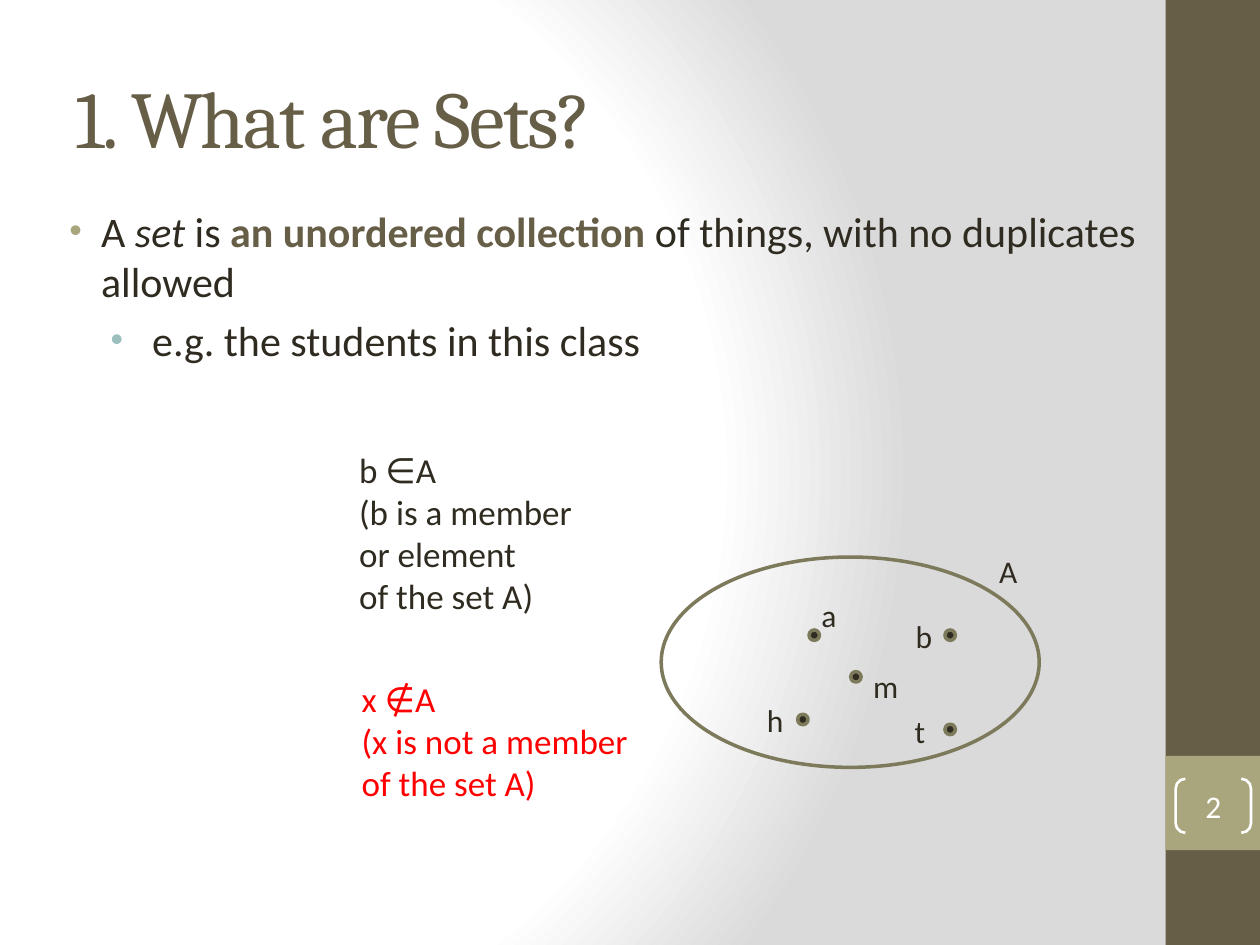
from typing import NamedTuple, Optional

from pptx import Presentation
from pptx.dml.color import RGBColor
from pptx.enum.shapes import MSO_SHAPE
from pptx.enum.text import MSO_ANCHOR, PP_ALIGN
from pptx.oxml import parse_xml
from pptx.oxml.ns import nsdecls, qn
from pptx.util import Cm, Pt

OLIVE = RGBColor(0x67, 0x5E, 0x47)
SAGE = RGBColor(0xA9, 0xA5, 0x7C)
OUTLINE = RGBColor(0x7D, 0x7A, 0x5C)
TEAL = RGBColor(0x9C, 0xBE, 0xBD)
INK = RGBColor(0x2F, 0x2B, 0x20)
RED = RGBColor(0xFF, 0x00, 0x00)
WHITE = RGBColor(0xFF, 0xFF, 0xFF)
GREY = RGBColor(0xDA, 0xDA, 0xDA)

DOT_SIZE = 0.21
LABEL_HEIGHT = 1.02


class Box(NamedTuple):
    left: float
    top: float
    width: float
    height: float

    def lengths(self) -> list:
        """Return the box as slide lengths."""
        return [Cm(value) for value in self]


class Member(NamedTuple):
    name: str
    dot: Optional[tuple]
    label: tuple
    label_width: float


class Statement(NamedTuple):
    lines: tuple
    color: RGBColor
    box: Box


class Bullet(NamedTuple):
    runs: tuple
    color: RGBColor
    margin: float
    hanging: float
    space_before: float


MEMBERS = (
    Member("a", (16.31, 12.7), (16.31, 11.89), 0.81),
    Member("b", (19.05, 12.7), (18.21, 12.32), 0.86),
    Member("t", (19.05, 14.6), (18.19, 14.22), 0.74),
    Member("m", (17.15, 13.54), (17.35, 13.33), 1.07),
    Member("h", (16.08, 14.4), (15.21, 14), 0.89),
    Member("A", None, (19.89, 11), 0.94),
)
STATEMENTS = (
    Statement(("b ∈A", "(b is a member", "or element", "of the set A)"),
              INK, Box(6.99, 8.92, 5.08, 3.68)),
    Statement(("x ∉A", "(x is not a member", "of the set A)"),
              RED, Box(7.04, 13.54, 6.55, 2.82)),
)
BULLETS = (
    Bullet((("A ", {}), ("set", {"italic": True}), (" is ", {}),
            ("an unordered collection ", {"bold": True, "color": OLIVE}),
            ("of things, with no duplicates allowed", {})),
           SAGE, 0.95, 0.64, 0),
    Bullet((("e.g. the students in this class", {}),), TEAL, 1.98, 0.84, 4.8),
)


def paint_background(slide) -> None:
    """Give the slide a radial white to grey gradient."""
    slide.background.fill.gradient()
    gradient = slide.element.find(".//" + qn("a:gradFill"))
    stops = "".join(
        f'<a:gs pos="{share * 1000}"><a:srgbClr val="{color}"/></a:gs>'
        for share, color in ((0, WHITE), (75, WHITE), (100, GREY)))
    gradient.getparent().replace(gradient, parse_xml(
        f'<a:gradFill {nsdecls("a")} rotWithShape="1"><a:gsLst>{stops}</a:gsLst>'
        '<a:path path="circle"><a:fillToRect l="20000" t="50000" '
        'r="100000" b="50000"/></a:path></a:gradFill>'))


def add_run(paragraph, text: str, size: float, color: RGBColor = INK,
            name: str = "Calibri", **styles):
    """Append a formatted run to a paragraph."""
    run = paragraph.add_run()
    run.text = text
    run.font.color.rgb = color
    for key, value in {"name": name, "size": Pt(size), **styles}.items():
        setattr(run.font, key, value)
    return run


def add_figure(slide, kind: MSO_SHAPE, box: Box, fill: Optional[RGBColor] = None,
               line: Optional[RGBColor] = None, line_width: float = 2):
    """Draw a preset shape with an optional fill and outline."""
    figure = slide.shapes.add_shape(kind, *box.lengths())
    figure.shadow.inherit = False
    if fill is None:
        figure.fill.background()
    else:
        figure.fill.solid()
        figure.fill.fore_color.rgb = fill
    if line is None:
        figure.line.fill.background()
    else:
        figure.line.color.rgb = line
        figure.line.width = Pt(line_width)
    return figure


def add_frame(slide, box: Box, wrap: bool = True):
    """Add a text box and return its text frame."""
    frame = slide.shapes.add_textbox(*box.lengths()).text_frame
    frame.word_wrap = wrap
    return frame


def paragraph_at(frame, index: int):
    """Return the first paragraph or a newly added one."""
    return frame.add_paragraph() if index else frame.paragraphs[0]


def add_title(slide) -> None:
    """Write the slide title."""
    frame = add_frame(slide, Box(1.27, 0.76, 21.16, 3.18))
    frame.vertical_anchor = MSO_ANCHOR.MIDDLE
    heading = add_run(frame.paragraphs[0], "1. What are Sets?", 46, OLIVE, "Cambria")
    heading._r.get_or_add_rPr().set("spc", "-100")


def add_bullets(slide) -> None:
    """Write the definition and its example as bullets."""
    frame = add_frame(slide, Box(0.84, 4.01, 22.86, 4.57))
    for index, bullet in enumerate(BULLETS):
        paragraph = paragraph_at(frame, index)
        properties = paragraph._p.get_or_add_pPr()
        properties.set("marL", str(Cm(bullet.margin)))
        properties.set("indent", str(-Cm(bullet.hanging)))
        for markup in (f'buClr {nsdecls("a")}><a:srgbClr val="{bullet.color}"/></a:buClr',
                       f'buSzPct {nsdecls("a")} val="85000"/',
                       f'buFont {nsdecls("a")} typeface="Arial"/',
                       f'buChar {nsdecls("a")} char="•"/'):
            properties.append(parse_xml(f"<a:{markup}>"))
        if bullet.space_before:
            paragraph.space_before = Pt(bullet.space_before)
        for text, styles in bullet.runs:
            add_run(paragraph, text, 24, **styles)


def add_page_number(slide) -> None:
    """Draw the bracketed slide number."""
    bracket = add_figure(slide, MSO_SHAPE.DOUBLE_BRACKET,
                         Box(23.7, 15.7, 1.52, 1.09), line=WHITE, line_width=1.5)
    bracket.adjustments[0] = 0.18
    frame = bracket.text_frame
    for side in ("left", "top", "right", "bottom"):
        setattr(frame, f"margin_{side}", 0)
    frame.vertical_anchor = MSO_ANCHOR.MIDDLE
    frame.paragraphs[0].alignment = PP_ALIGN.CENTER
    add_run(frame.paragraphs[0], "2", 18, WHITE)


def add_member(slide, member: Member) -> None:
    """Draw a dot, if there is one, and its label."""
    if member.dot:
        add_figure(slide, MSO_SHAPE.OVAL, Box(*member.dot, DOT_SIZE, DOT_SIZE), INK, OUTLINE)
    frame = add_frame(slide, Box(*member.label, member.label_width, LABEL_HEIGHT), False)
    add_run(frame.paragraphs[0], member.name, 18)


def add_statement(slide, statement: Statement) -> None:
    """Write a membership statement line by line."""
    frame = add_frame(slide, statement.box)
    for index, line in enumerate(statement.lines):
        add_run(paragraph_at(frame, index), line, 20, statement.color)


def main() -> None:
    """Build the slide and save it."""
    deck = Presentation()
    deck.slide_width, deck.slide_height = Cm(25.4), Cm(19.05)
    slide = deck.slides.add_slide(deck.slide_layouts[6])
    paint_background(slide)
    add_figure(slide, MSO_SHAPE.RECTANGLE, Box(23.5, 0, 1.9, 19.05), OLIVE)
    add_figure(slide, MSO_SHAPE.RECTANGLE, Box(23.5, 15.24, 1.9, 1.9), SAGE)
    add_title(slide)
    add_bullets(slide)
    add_page_number(slide)
    add_figure(slide, MSO_SHAPE.OVAL, Box(13.33, 11.23, 7.62, 4.24), line=OUTLINE)
    for member in MEMBERS:
        add_member(slide, member)
    for statement in STATEMENTS:
        add_statement(slide, statement)
    deck.save("out.pptx")


if __name__ == "__main__":
    main()
